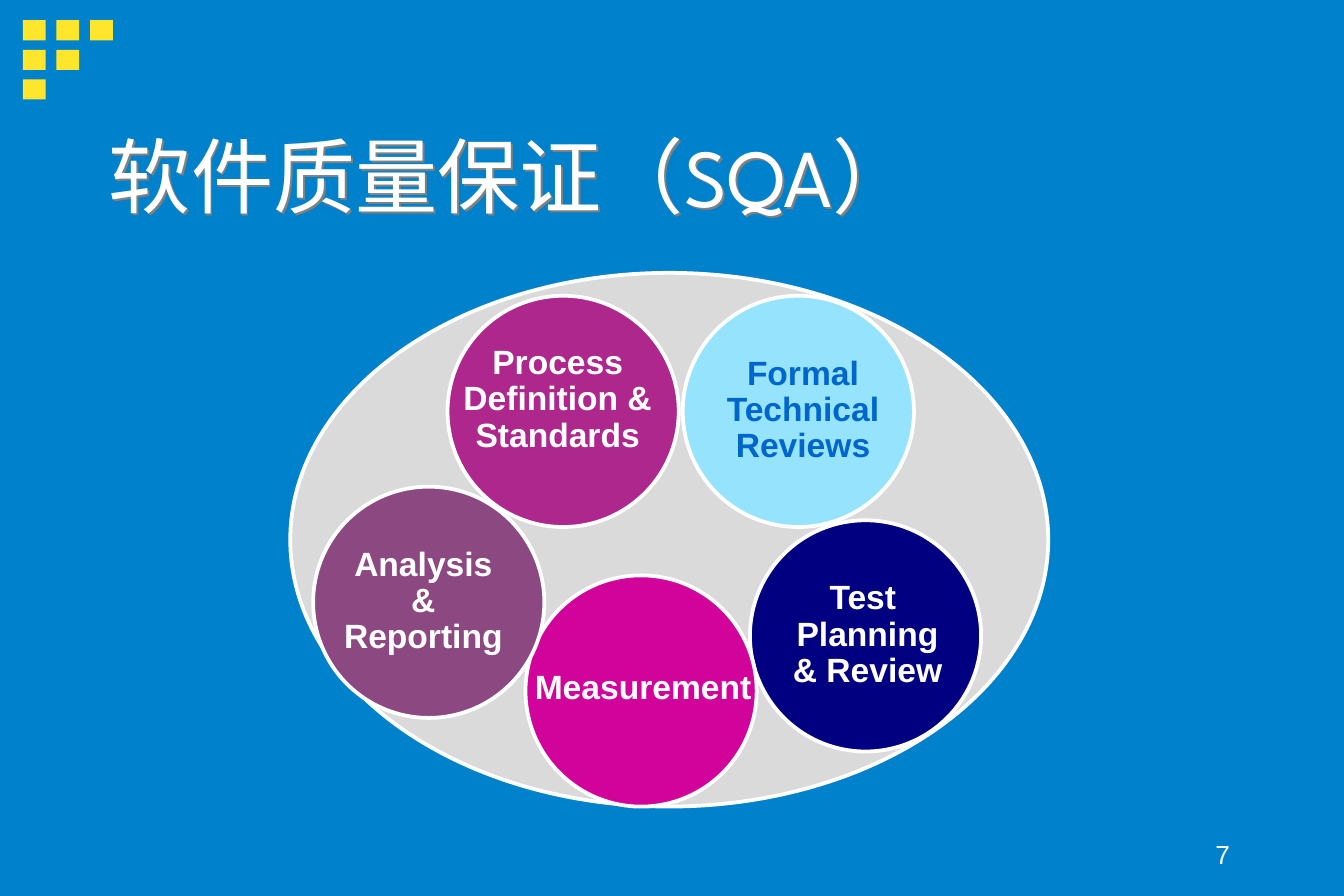
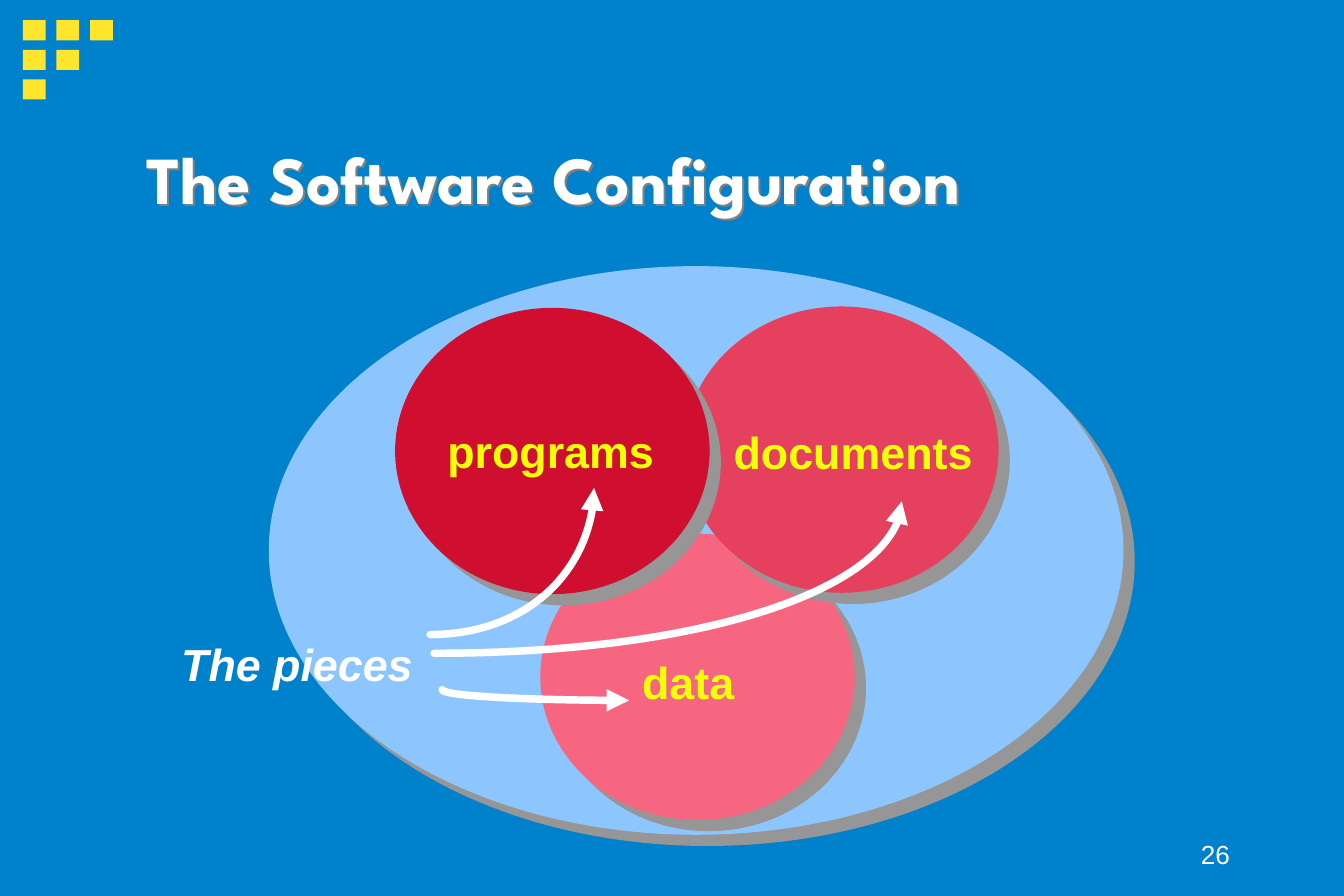
from lxml.etree import SubElement
from pptx import Presentation
from pptx.dml.color import RGBColor
from pptx.enum.shapes import MSO_SHAPE
from pptx.enum.text import MSO_ANCHOR, MSO_AUTO_SIZE, PP_ALIGN
from pptx.oxml.ns import qn
from pptx.util import Emu, Pt

# Lengths are in px, 100 to the inch
PX = 9144
SLIDE_WIDTH, SLIDE_HEIGHT = Emu(9144000), Emu(6094413)

# Colours
BLUE = RGBColor(0x00, 0x81, 0xCB)
YELLOW = RGBColor(0xFF, 0xE6, 0x2D)
WHITE = RGBColor(0xFF, 0xFF, 0xFF)
GREY = RGBColor(0xDA, 0xDA, 0xDA)
SHADOW_GREY = RGBColor(0x96, 0x96, 0x96)
TITLE_SHADOW = RGBColor(0x80, 0x80, 0x80)
PALE_CYAN = RGBColor(0x96, 0xE3, 0xFE)
LABEL_BLUE = RGBColor(0x00, 0x66, 0xCC)
NAVY = RGBColor(0x00, 0x00, 0x80)
MAGENTA = RGBColor(0xD1, 0x03, 0x9B)
PLUM = RGBColor(0x8C, 0x48, 0x81)
PURPLE = RGBColor(0xAD, 0x27, 0x8D)
LIGHT_BLUE = RGBColor(0x8D, 0xC6, 0xFF)
PINK = RGBColor(0xF7, 0x66, 0x81)
ROSE = RGBColor(0xE5, 0x40, 0x5D)
RED = RGBColor(0xCF, 0x0E, 0x30)
LEMON = RGBColor(0xF3, 0xFF, 0x07)

# Text formats
TITLE_FONT = {"name": "League Spartan", "bold": False}
NUMBER_FONT = {"name": "Arial", "size": Pt(14)}
ACTIVITY_FONT = {"name": "Arial", "size": Pt(18), "bold": True}
PIECE_FONT = {"name": "Arial", "size": Pt(24), "bold": True}

# Quality activities: circle left and top, fill, label box, lines, text colour
CIRCLE_SIZE = 172
ACTIVITIES = [
    ((508, 220), PALE_CYAN, (530, 260, 135, 91),
     ["Formal", "Technical", "Reviews"], LABEL_BLUE),
    ((558, 387), NAVY, (580, 427, 131, 91),
     ["Test ", "Planning", "& Review"], WHITE),
    ((391, 428), MAGENTA, (388, 494, 181, 37), ["Measurement"], WHITE),
    ((233, 362), PLUM, (246, 402, 138, 91),
     ["Analysis", "&", "Reporting"], WHITE),
    ((333, 220), PURPLE, (335, 252, 160, 91),
     ["Process", "Definition &", "Standards"], WHITE),
]

# Configuration pieces: ellipse left and top, fill, label box, label
PIECE_SIZE = (234, 213)
PIECES = [
    ((402, 397), PINK, (468, 482, 90, 50), "data"),
    ((509, 228), ROSE, (536, 311, 198, 50), "documents"),
    ((294, 229), RED, (323, 310, 174, 50), "programs"),
]

# Arrows: tip, corner that the curve bends towards, tail
ARROWS = [
    ((468, 521), (329, 521), (329, 513)),
    ((671, 373), (671, 486), (323, 486)),
    ((442, 363), (442, 472), (320, 472)),
]


def scaled(lengths):
    return [length * PX for length in lengths]


def apply_format(target, values):
    for name, value in values.items():
        setattr(target, name, value)


def add_shadow(shape, color, distance):
    """Give a shape a hard shadow that falls to the lower right."""
    shape.shadow.inherit = False
    effects = shape.element.spPr.find(qn("a:effectLst"))
    shadow = SubElement(effects, qn("a:outerShdw"), {
        "blurRad": "0", "dist": str(distance), "dir": "2700000",
        "algn": "ctr", "rotWithShape": "0"})
    SubElement(shadow, qn("a:srgbClr"), val=str(color))


def add_shape(slide, kind, box, fill, outline=None):
    shape = slide.shapes.add_shape(kind, *scaled(box))
    shape.shadow.inherit = False
    shape.fill.solid()
    shape.fill.fore_color.rgb = fill
    if outline is None:
        shape.line.fill.background()
    else:
        shape.line.color.rgb = outline
        shape.line.width = Pt(2)
    return shape


def add_raised_ellipse(slide, box, fill):
    ellipse = add_shape(slide, MSO_SHAPE.OVAL, box, fill)
    add_shadow(ellipse, SHADOW_GREY, Pt(8.5))


def write_lines(frame, lines, font, color, paragraph_format):
    for index, line in enumerate(lines):
        paragraph = frame.paragraphs[0] if index == 0 else frame.add_paragraph()
        apply_format(paragraph, paragraph_format)
        run = paragraph.add_run()
        run.text = line
        apply_format(run.font, font)
        run.font.color.rgb = color


def add_label(slide, box, lines, font, color, **paragraph_format):
    frame = slide.shapes.add_textbox(*scaled(box)).text_frame
    apply_format(frame, {"word_wrap": False,
                         "auto_size": MSO_AUTO_SIZE.SHAPE_TO_FIT_TEXT})
    write_lines(frame, lines, font, color, paragraph_format)
    return frame


def set_title(slide, text, box, font, frame_format):
    title = slide.shapes.title
    apply_format(title, dict(zip(("left", "top", "width", "height"), scaled(box))))
    apply_format(title.text_frame, {"word_wrap": True, **frame_format})
    write_lines(title.text_frame, [text], {**TITLE_FONT, **font}, WHITE,
                {"alignment": PP_ALIGN.LEFT})
    add_shadow(title, TITLE_SHADOW, Pt(1.5))


def add_slide_number(slide, number):
    frame = add_label(slide, (717, 608, 208, 44), [number], NUMBER_FONT, WHITE,
                      alignment=PP_ALIGN.RIGHT)
    apply_format(frame, {"word_wrap": True, "auto_size": MSO_AUTO_SIZE.NONE,
                         "vertical_anchor": MSO_ANCHOR.BOTTOM})


def add_curved_arrow(slide, tip, corner, tail):
    """Draw a quarter of an ellipse with its arrowhead at the tip."""
    builder = slide.shapes.build_freeform(*scaled(tip))
    builder.add_line_segments([scaled(tail)], close=False)
    arrow = builder.convert_to_shape()
    arrow.shadow.inherit = False
    arrow.fill.background()
    arrow.line.color.rgb = WHITE
    arrow.line.width = Pt(4)

    # Bend the straight segment
    segment = next(arrow.element.iter(qn("a:lnTo")))
    curve = SubElement(segment.getparent(), qn("a:cubicBezTo"))
    controls = [[end + 0.55 * (bend - end) for end, bend in zip(point, corner)]
                for point in (tip, tail)]
    for x, y in (*controls, tail):
        SubElement(curve, qn("a:pt"), x=str(round(x * PX - arrow.left)),
                   y=str(round(y * PX - arrow.top)))
    segment.getparent().remove(segment)

    # Round cap and arrowhead
    line = arrow.element.spPr.find(qn("a:ln"))
    line.set("cap", "rnd")
    SubElement(line, qn("a:headEnd"), type="triangle")


def decorate_master(slide):
    """Give the master its background and its corner of squares."""
    master = slide.slide_layout.slide_master
    master.background.fill.solid()
    master.background.fill.fore_color.rgb = BLUE
    for row in range(3):
        for column in range(3 - row):
            box = (17 + 25 * column, 15 + 22 * row, 17, 15)
            square = add_shape(slide, MSO_SHAPE.RECTANGLE, box, YELLOW)
            master.shapes.element.append(square.element)


def build_quality_slide(slide):
    set_title(slide, "软件质量保证（SQA）", (74, 90, 637, 152), {"size": Pt(44)}, {
        "vertical_anchor": MSO_ANCHOR.TOP,
        "auto_size": MSO_AUTO_SIZE.SHAPE_TO_FIT_TEXT,
        "margin_left": 7 * PX, "margin_right": 7 * PX,
        "margin_top": 3 * PX, "margin_bottom": 3 * PX})
    add_slide_number(slide, "7")
    add_shape(slide, MSO_SHAPE.OVAL, (216, 203, 564, 397), GREY, WHITE)
    for corner, fill, label_box, lines, color in ACTIVITIES:
        add_shape(slide, MSO_SHAPE.OVAL, (*corner, CIRCLE_SIZE, CIRCLE_SIZE),
                  fill, WHITE)
        add_label(slide, label_box, lines, ACTIVITY_FONT, color,
                  alignment=PP_ALIGN.CENTER, line_spacing=0.9)


def build_configuration_slide(slide):
    set_title(slide, "The Software Configuration", (99, 106, 809, 52),
              {"size": Pt(36), "bold": True},
              {"vertical_anchor": MSO_ANCHOR.MIDDLE,
               "auto_size": MSO_AUTO_SIZE.NONE})
    add_slide_number(slide, "26")
    add_raised_ellipse(slide, (200, 198, 636, 423), LIGHT_BLUE)
    for corner, fill, _, _ in PIECES:
        add_raised_ellipse(slide, (*corner, *PIECE_SIZE), fill)
    for _, _, label_box, label in PIECES:
        add_label(slide, label_box, [label], PIECE_FONT, LEMON)
    add_label(slide, (125, 469, 192, 50), ["The pieces"],
              {**PIECE_FONT, "italic": True}, WHITE)
    for tip, corner, tail in ARROWS:
        add_curved_arrow(slide, tip, corner, tail)


def main():
    presentation = Presentation()
    presentation.slide_width = SLIDE_WIDTH
    presentation.slide_height = SLIDE_HEIGHT
    title_only = presentation.slide_layouts[5]
    quality_slide = presentation.slides.add_slide(title_only)
    decorate_master(quality_slide)
    build_quality_slide(quality_slide)
    build_configuration_slide(presentation.slides.add_slide(title_only))
    presentation.save("out.pptx")


if __name__ == "__main__":
    main()
